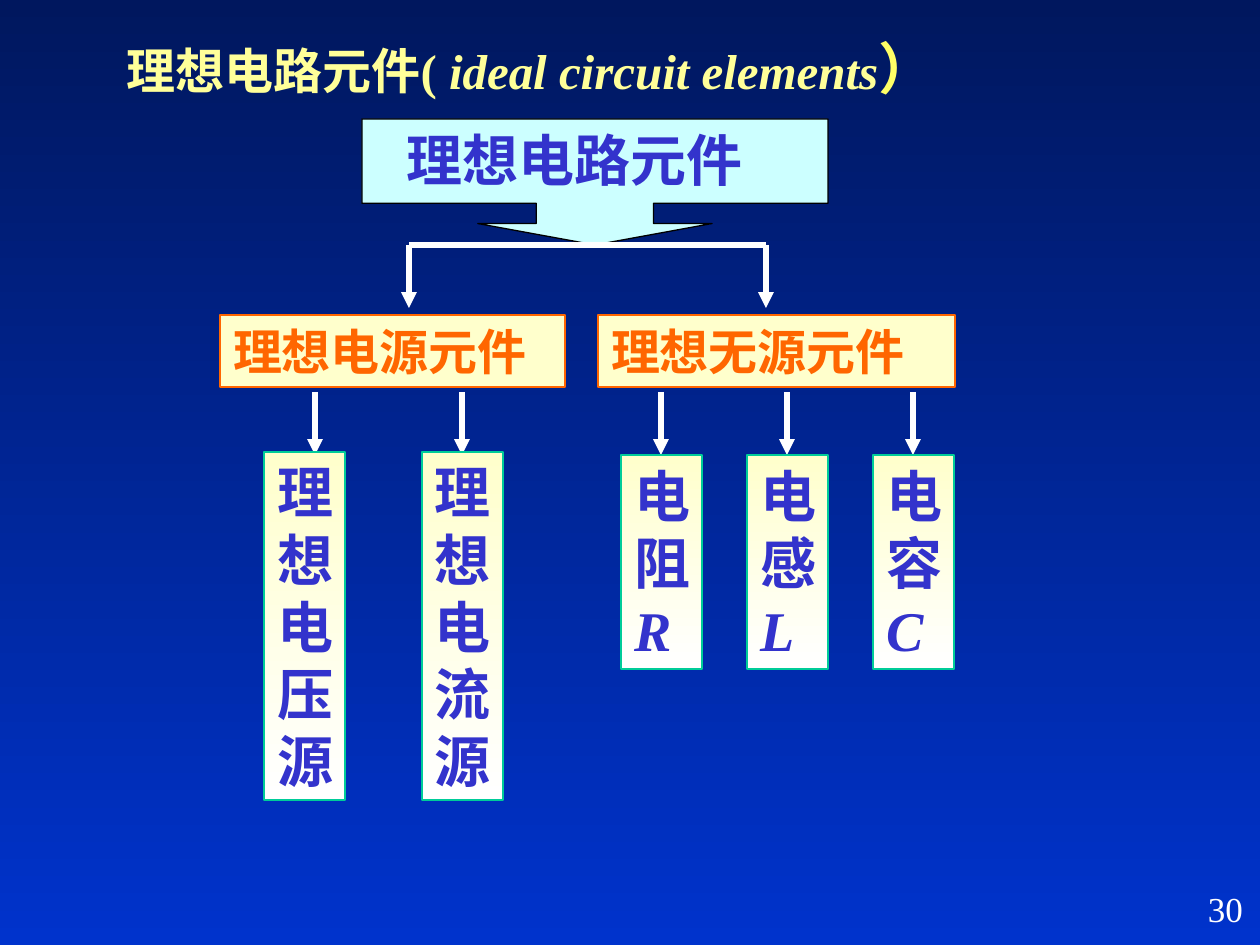
from dataclasses import dataclass
from pptx import Presentation
from pptx.dml.color import RGBColor
from pptx.enum.shapes import MSO_CONNECTOR, MSO_SHAPE
from pptx.enum.text import MSO_ANCHOR, PP_ALIGN
from pptx.oxml.ns import qn
from pptx.util import Pt
from lxml.etree import SubElement


@dataclass(frozen=True)
class Theme:
    font: str = "Times New Roman"
    night: str = "00175E"
    blue: str = "0033CC"
    white: str = "FFFFFF"
    black: str = "000000"
    title: str = "FFFF99"
    bracket: str = "FFFF66"
    ice: str = "CCFFFF"
    cream: str = "FFFFCC"
    orange: str = "FF6600"
    green: str = "00CC99"
    ink: str = "3333CC"
    number: int = 20
    medium: int = 28
    large: int = 32
    thin: float = 0.75
    thick: int = 3


T = Theme()
SCALE = 914400 / 126

TITLE = [("理想电路元件( ", {}), ("ideal circuit elements", {"italic": True}),
         ("）", {"size": T.large, "color": T.bracket})]
ROOT = "理想电路元件"
BRANCHES = [
    {"name": "理想电源元件", "left": 220, "width": 345, "stem": 409,
     "leaf_left": 264, "leaf_step": 158, "leaf_top": 452,
     "arrow_left": 315, "arrow_step": 147,
     "leaves": ["理想电压源", "理想电流源"]},
    {"name": "理想无源元件", "left": 598, "width": 357, "stem": 766,
     "leaf_left": 621, "leaf_step": 126, "leaf_top": 455,
     "arrow_left": 661, "arrow_step": 126,
     "leaves": ["电阻R", "电感L", "电容C"]},
]
BAR_Y, STEM_END = 245, 308
BRANCH_TOP, BRANCH_HEIGHT = 315, 72
ARROW_TOP, ARROW_END = 392, 455
LEAF_WIDTH, LINE_HEIGHT, PADDING = 81, 67, 13


def px(*values):
    return [round(v * SCALE) for v in values]


def rgb(value):
    return RGBColor.from_string(value)


def gradient(fill, top, bottom):
    fill.gradient()
    fill.gradient_angle = 270
    for stop, color in zip(fill.gradient_stops, (top, bottom)):
        stop.color.rgb = rgb(color)


def write(shape, paragraphs, size=T.medium, color=T.white, bold=True,
          align=PP_ALIGN.LEFT, anchor=MSO_ANCHOR.MIDDLE, wrap=True,
          insets=(13, 6, 13, 6)):
    tf = shape.text_frame
    tf.word_wrap = wrap
    tf.vertical_anchor = anchor
    tf.margin_left, tf.margin_top, tf.margin_right, tf.margin_bottom = px(*insets)
    for i, runs in enumerate(paragraphs):
        p = tf.add_paragraph() if i else tf.paragraphs[0]
        p.alignment = align
        for text, style in runs:
            r = p.add_run()
            r.text = text
            r.font.name = T.font
            r.font.size = Pt(style.get("size", size))
            r.font.color.rgb = rgb(style.get("color", color))
            r.font.bold = bold
            r.font.italic = style.get("italic", False)


def add_text(s, box, paragraphs, **style):
    write(s.shapes.add_textbox(*px(*box)), paragraphs, **style)


def add_box(s, kind, box, fill, line):
    sp = s.shapes.add_shape(kind, *px(*box))
    sp.shadow.inherit = False
    if isinstance(fill, tuple):
        gradient(sp.fill, *fill)
    else:
        sp.fill.solid()
        sp.fill.fore_color.rgb = rgb(fill)
    sp.line.color.rgb = rgb(line)
    sp.line.width = Pt(T.thin)
    return sp


def add_line(s, x1, y1, x2, y2, arrow=True):
    c = s.shapes.add_connector(MSO_CONNECTOR.STRAIGHT, *px(x1, y1, x2, y2))
    c.line.color.rgb = rgb(T.white)
    c.line.width = Pt(T.thick)
    if arrow:
        SubElement(c.line._get_or_add_ln(), qn("a:tailEnd"), type="triangle")
    SubElement(c._element.spPr, qn("a:effectLst"))


def add_branch(s, branch):
    add_line(s, branch["stem"], BAR_Y, branch["stem"], STEM_END)
    sp = add_box(s, MSO_SHAPE.RECTANGLE,
                 (branch["left"], BRANCH_TOP, branch["width"], BRANCH_HEIGHT),
                 T.cream, T.orange)
    write(sp, [[(branch["name"], {})]], color=T.orange)
    for i, leaf in enumerate(branch["leaves"]):
        x = branch["arrow_left"] + i * branch["arrow_step"]
        add_line(s, x, ARROW_TOP, x, ARROW_END)
        box = (branch["leaf_left"] + i * branch["leaf_step"], branch["leaf_top"],
               LEAF_WIDTH, len(leaf) * LINE_HEIGHT + PADDING)
        sp = add_box(s, MSO_SHAPE.RECTANGLE, box, (T.cream, T.white), T.green)
        write(sp, [[(c, {"italic": c.isascii()})] for c in leaf],
              size=T.large, color=T.ink, wrap=False)


def main():
    prs = Presentation()
    prs.slide_width, prs.slide_height = px(1260, 945)
    s = prs.slides.add_slide(prs.slide_layouts[6])
    gradient(s.background.fill, T.night, T.blue)

    add_text(s, (114, 28, 1022, 81), [TITLE], color=T.title, anchor=MSO_ANCHOR.TOP)

    callout = add_box(s, MSO_SHAPE.DOWN_ARROW_CALLOUT, (362, 119, 466, 126),
                      T.ice, T.black)
    for i, value in enumerate((0.93, 0.93, 0.17, 0.67)):
        callout.adjustments[i] = value
    add_text(s, (344, 119, 412, 81), [[(ROOT, {})]], size=T.large, color=T.ink,
             align=PP_ALIGN.CENTER, insets=(50, 6, 0, 6))

    add_line(s, BRANCHES[0]["stem"], BAR_Y, BRANCHES[1]["stem"], BAR_Y, arrow=False)
    for branch in BRANCHES:
        add_branch(s, branch)
    add_text(s, (994, 882, 262, 63), [[("30", {})]], size=T.number, bold=False,
             align=PP_ALIGN.RIGHT, anchor=MSO_ANCHOR.TOP)
    prs.save("out.pptx")


if __name__ == "__main__":
    main()
